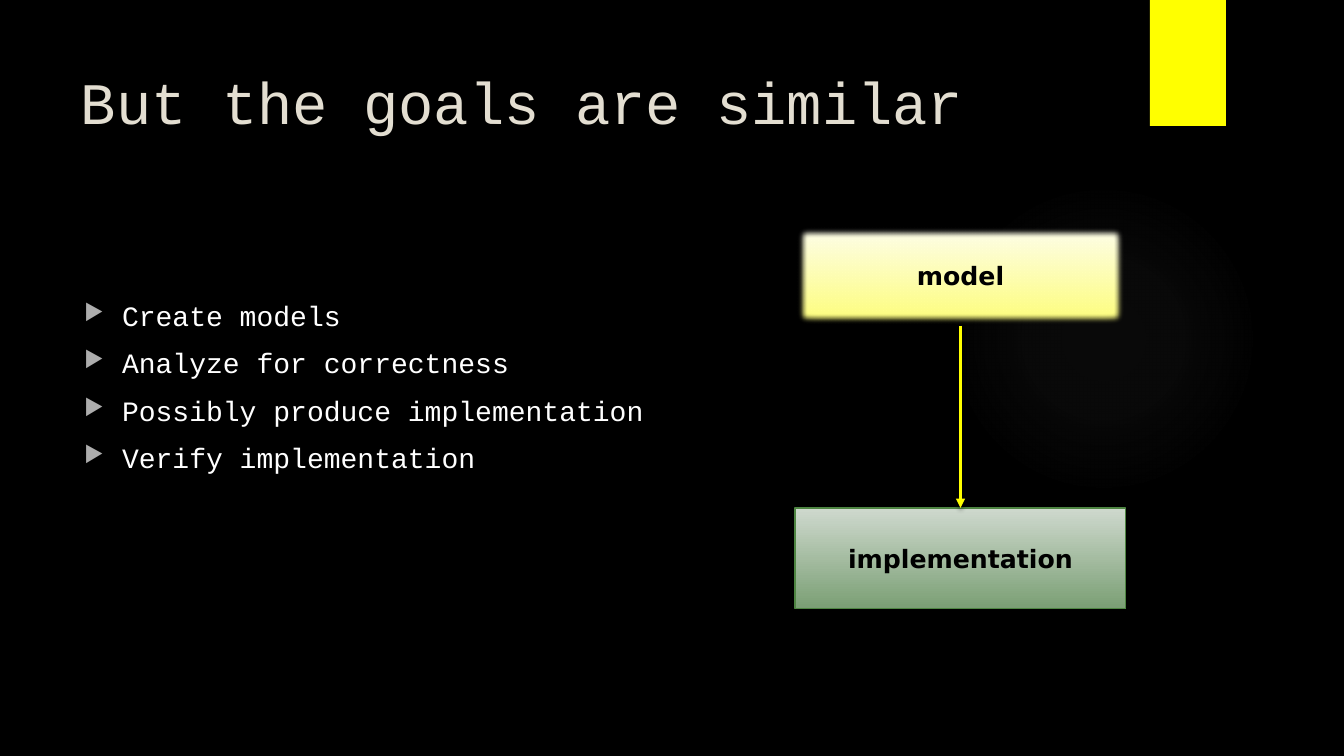
from lxml import etree
from pptx import Presentation
from pptx.dml.color import RGBColor
from pptx.enum.shapes import MSO_CONNECTOR as Connector, MSO_SHAPE as Shape
from pptx.enum.text import MSO_ANCHOR as Anchor, MSO_AUTO_SIZE as AutoSize, PP_ALIGN as Align
from pptx.oxml import parse_xml
from pptx.oxml.ns import nsdecls, qn
from pptx.util import Emu, Pt

BLACK = RGBColor(0x00, 0x00, 0x00)
WHITE = RGBColor(0xFF, 0xFF, 0xFF)
CREAM = RGBColor(0xE3, 0xDE, 0xD1)
YELLOW = RGBColor(0xFF, 0xFF, 0x00)
PALE_YELLOW = RGBColor(0xFF, 0xFF, 0xEF)
SOFT_YELLOW = RGBColor(0xFF, 0xFF, 0x77)
PALE_GREEN = RGBColor(0xCF, 0xD9, 0xCE)
SOFT_GREEN = RGBColor(0x7A, 0x9F, 0x74)
GREEN = RGBColor(0x4E, 0x85, 0x42)
BULLET_GREY = RGBColor(0xAD, 0xAD, 0xAD)
GLOW_GREY = RGBColor(0x84, 0x84, 0x84)

# Content
TITLE = "But the goals are similar"
GOALS = [
    "Create models",
    "Analyze for correctness",
    "Possibly produce implementation",
    "Verify implementation",
]
# label, top, gradient start, gradient end, outline
STAGES = [
    ("model", 225, PALE_YELLOW, SOFT_YELLOW, YELLOW),
    ("implementation", 508, PALE_GREEN, SOFT_GREEN, GREEN),
]
GLOW_STOPS = [(0, 7), (36, 6), (69, 0)]  # position %, opacity %

# Layout in px
SLIDE_W, SLIDE_H = 1344, 756
STAGE_LEFT, STAGE_W, STAGE_H = 795, 331, 101
INDENT = 38
TEXT_FONT, LABEL_FONT = "Courier New", "DejaVu Sans"
SHADOW = ('<a:outerShdw blurRad="38100" dist="25400" dir="5400000" rotWithShape="0">'
          f'<a:srgbClr val="{BLACK}"><a:alpha val="45000"/></a:srgbClr></a:outerShdw>')
SOFT_EDGE = '<a:softEdge rad="63500"/>'


def px(length):
    return Emu(round(length * 914400 / 100.8))


def box(left, top, width, height):
    return [px(length) for length in (left, top, width, height)]


def set_effect(item, effect):
    properties = item._element.spPr
    for old in properties.findall(qn("a:effectLst")):
        properties.remove(old)
    properties.append(parse_xml(f'<a:effectLst {nsdecls("a")}>{effect}</a:effectLst>'))


def set_frame(frame, anchor, top_inset=5):
    frame.word_wrap = True
    frame.auto_size = AutoSize.NONE
    frame.vertical_anchor = anchor
    frame.margin_left = frame.margin_right = px(9)
    frame.margin_top, frame.margin_bottom = px(top_inset), px(5)


def set_font(paragraph, name, size, color, bold=False):
    font = paragraph.font
    font.name, font.size, font.bold = name, Pt(size), bold
    font.color.rgb = color


def add_bullet(paragraph):
    properties = paragraph._p.get_or_add_pPr()
    properties.set("marL", str(px(INDENT)))
    properties.set("indent", str(-px(INDENT)))
    color = etree.SubElement(properties, qn("a:buClr"))
    etree.SubElement(color, qn("a:srgbClr"), val=str(BULLET_GREY))
    etree.SubElement(properties, qn("a:buSzPct"), val="80000")
    etree.SubElement(properties, qn("a:buChar"), char="▶")


deck = Presentation()
deck.slide_width, deck.slide_height = px(SLIDE_W), px(SLIDE_H)
slide = deck.slides.add_slide(deck.slide_layouts[5])
slide.background.fill.solid()
slide.background.fill.fore_color.rgb = BLACK
shapes = slide.shapes

# Round glow
glow = shapes.add_shape(Shape.OVAL, *box(949, 184, 310, 310))
glow.line.fill.background()
glow.shadow.inherit = False
stops = "".join(
    f'<a:gs pos="{position * 1000}"><a:srgbClr val="{GLOW_GREY}">'
    f'<a:alpha val="{opacity * 1000}"/></a:srgbClr></a:gs>'
    for position, opacity in GLOW_STOPS)
glow._element.spPr.find(qn("a:prstGeom")).addnext(parse_xml(
    f'<a:gradFill {nsdecls("a")}><a:gsLst>{stops}</a:gsLst><a:path path="circle">'
    '<a:fillToRect l="50000" t="50000" r="50000" b="50000"/></a:path></a:gradFill>'))

# Yellow flag
flag = shapes.add_shape(Shape.RECTANGLE, *box(1150, 0, 76, 126))
flag.fill.solid()
flag.fill.fore_color.rgb = YELLOW
flag.line.fill.background()
set_effect(flag, SHADOW)

# Title
title = shapes.title
title.left, title.top, title.width, title.height = box(72, 50, 1037, 154)
set_frame(title.text_frame, Anchor.TOP, top_inset=16)
title.text_frame.text = TITLE
heading = title.text_frame.paragraphs[0]
heading.alignment = Align.LEFT
set_font(heading, TEXT_FONT, 42, CREAM)

# Goals
goals = shapes.add_textbox(*box(75, 289, 605, 206)).text_frame
set_frame(goals, Anchor.TOP, top_inset=9)
goals.text = "\n".join(GOALS)
for number, goal in enumerate(goals.paragraphs):
    goal.line_spacing = Pt(24)
    goal.space_before = Pt(10 if number else 0)
    add_bullet(goal)
    set_font(goal, TEXT_FONT, 20, WHITE)

# Stages
stages = []
for label, top, start, end, outline in STAGES:
    stage = shapes.add_shape(Shape.RECTANGLE, *box(STAGE_LEFT, top, STAGE_W, STAGE_H))
    stage.fill.gradient()
    stage.fill.gradient_angle = 270
    for stop, position, color in zip(stage.fill.gradient_stops, (0, 1), (start, end)):
        stop.position, stop.color.rgb = position, color
    stage.line.color.rgb = outline
    stage.line.width = Pt(0.75)
    stage.shadow.inherit = False
    set_frame(stage.text_frame, Anchor.MIDDLE)
    stage.text_frame.text = label
    name = stage.text_frame.paragraphs[0]
    name.alignment = Align.CENTER
    set_font(name, LABEL_FONT, 18, BLACK, bold=True)
    stages.append(stage)
model, implementation = stages
set_effect(model, SOFT_EDGE)

# Arrow from model to implementation
arrow = shapes.add_connector(Connector.STRAIGHT, 0, 0, 0, 0)
arrow.begin_connect(model, 2)
arrow.end_connect(implementation, 0)
arrow.line.color.rgb = YELLOW
arrow.line.width = Pt(2.25)
etree.SubElement(arrow.line._get_or_add_ln(), qn("a:tailEnd"), type="triangle")
set_effect(arrow, SHADOW)

deck.save("out.pptx")
